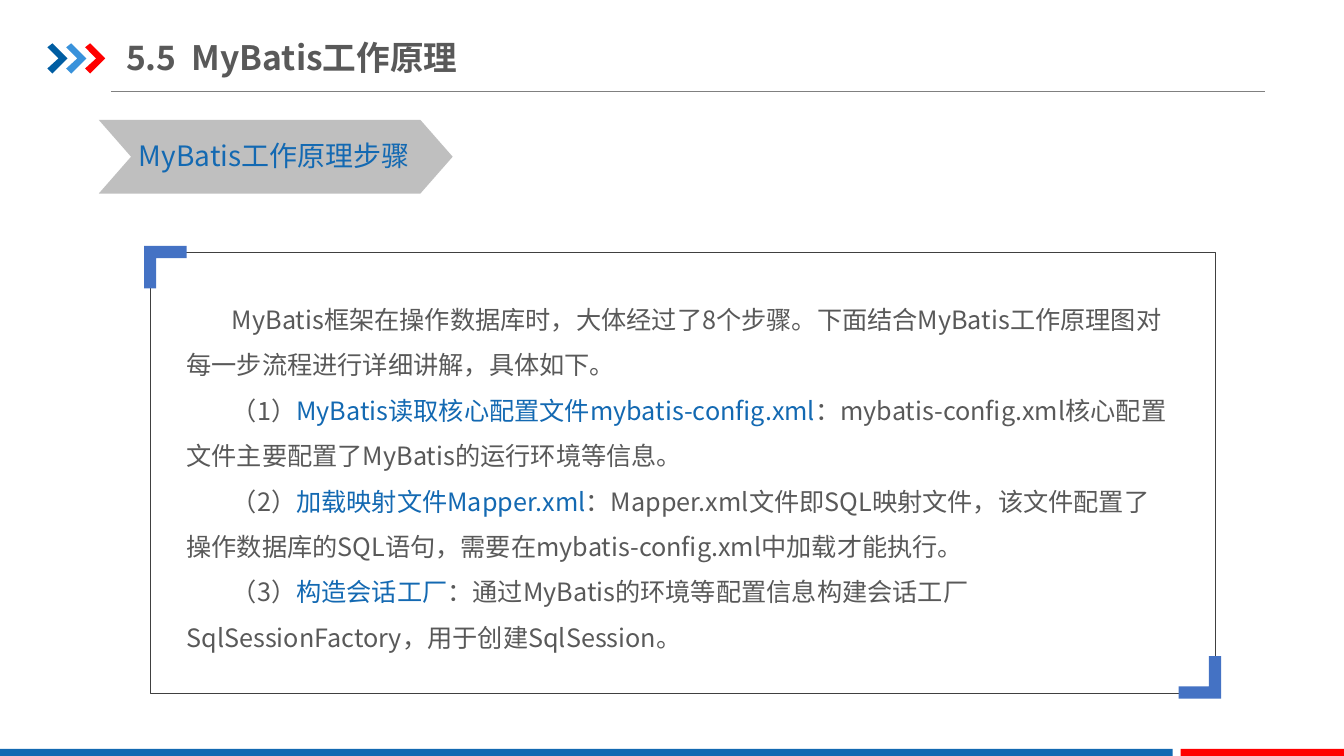
from lxml import etree
from pptx import Presentation
from pptx.dml.color import RGBColor
from pptx.enum.shapes import MSO_CONNECTOR, MSO_SHAPE
from pptx.enum.text import MSO_ANCHOR, MSO_AUTO_SIZE, PP_ALIGN
from pptx.oxml.ns import qn
from pptx.util import Inches, Pt

STRAIGHT = MSO_CONNECTOR.STRAIGHT
RECTANGLE = MSO_SHAPE.RECTANGLE
CHEVRON = MSO_SHAPE.CHEVRON
TOP = MSO_ANCHOR.TOP
MIDDLE = MSO_ANCHOR.MIDDLE
NO_AUTOFIT = MSO_AUTO_SIZE.NONE
LEFT = PP_ALIGN.LEFT

FONT = "Noto Sans CJK SC"
COLORS = {
    "blue": "1369B2",
    "red": "FF0000",
    "dark_blue": "005DA2",
    "light_blue": "3992DB",
    "corner": "4472C4",
    "banner": "BFBFBF",
    "text": "595959",
    "frame": "404040",
    "rule": "808080",
}

STEPS = [
    [("MyBatis框架在操作数据库时，大体经过了8个步骤。"
      "下面结合MyBatis工作原理图对每一步流程进行详细讲解，具体如下。", "text")],
    [("（1）", "text"),
     ("MyBatis读取核心配置文件mybatis-config.xml", "blue"),
     ("：mybatis-config.xml核心配置文件主要配置了MyBatis的运行环境等信息。", "text")],
    [("（2）", "text"),
     ("加载映射文件Mapper.xml", "blue"),
     ("：Mapper.xml文件即SQL映射文件，该文件配置了操作数据库的SQL语句，"
      "需要在mybatis-config.xml中加载才能执行。", "text")],
    [("（3）", "text"),
     ("构造会话工厂", "blue"),
     ("：通过MyBatis的环境等配置信息构建会话工厂SqlSessionFactory，"
      "用于创建SqlSession。", "text")],
]


def rgb(color):
    return RGBColor.from_string(COLORS[color])


def add_text(paragraph, text, size=18, color="text", bold=False):
    run = paragraph.add_run()
    run.text = text
    run.font.size = Pt(size)
    run.font.bold = bold
    run.font.name = FONT
    run.font.color.rgb = rgb(color)
    east_asian = etree.SubElement(run._r.get_or_add_rPr(), qn("a:ea"))
    east_asian.set("typeface", FONT)


class SlideBuilder:
    def __init__(self, presentation):
        self.slide = presentation.slides.add_slide(presentation.slide_layouts[1])
        self.shapes = self.slide.shapes

    def prepare(self, shape, box, margins, anchor):
        shape.left, shape.top, shape.width, shape.height = map(Inches, box)
        frame = shape.text_frame
        frame.word_wrap = True
        frame.auto_size = NO_AUTOFIT
        frame.vertical_anchor = anchor
        frame.margin_left = frame.margin_right = Inches(margins[0])
        frame.margin_top = frame.margin_bottom = Inches(margins[1])
        return frame

    def title(self, text, box):
        frame = self.prepare(self.shapes.title, box, (0, 0.07), MIDDLE)
        frame.paragraphs[0].alignment = LEFT
        add_text(frame.paragraphs[0], text, size=24, bold=True)

    def body(self, paragraphs, box):
        frame = self.prepare(self.slide.placeholders[1], box, (0.1, 0.05), TOP)
        for index, runs in enumerate(paragraphs):
            paragraph = frame.add_paragraph() if index else frame.paragraphs[0]
            paragraph.alignment = LEFT
            paragraph.line_spacing = 1.5
            paragraph.space_before = Pt(0)
            properties = paragraph._p.get_or_add_pPr()
            properties.set("marL", "0")
            properties.set("indent", str(Inches(0.45)))
            etree.SubElement(properties, qn("a:buNone"))
            for text, color in runs:
                add_text(paragraph, text, color=color)

    def label(self, text, box):
        shape = self.shapes.add_textbox(0, 0, 0, 0)
        frame = self.prepare(shape, box, (0.1, 0.05), TOP)
        add_text(frame.paragraphs[0], text, size=20, color="blue")

    def paint(self, shape, fill=None, line=None):
        shape.shadow.inherit = False
        if fill:
            shape.fill.solid()
            shape.fill.fore_color.rgb = rgb(fill)
        else:
            shape.fill.background()
        if line:
            shape.line.color.rgb = rgb(line)
            shape.line.width = Pt(0.25)
        else:
            shape.line.fill.background()

    def preset(self, kind, box, **colors):
        shape = self.shapes.add_shape(kind, *map(Inches, box))
        self.paint(shape, **colors)
        return shape

    def outline(self, origin, offsets, fill, direction=1):
        points = [tuple(Inches(start + direction * offset)
                        for start, offset in zip(origin, pair)) for pair in offsets]
        builder = self.shapes.build_freeform(*points[0], scale=1.0)
        builder.add_line_segments(points[1:], close=True)
        self.paint(builder.convert_to_shape(), fill=fill)

    def rule(self, left, right, top):
        connector = self.shapes.add_connector(
            STRAIGHT, Inches(left), Inches(top), Inches(right), Inches(top))
        connector.line.color.rgb = rgb("rule")
        connector.line.width = Pt(0.5)
        etree.SubElement(connector._element.spPr, qn("a:effectLst"))


def main():
    presentation = Presentation()
    presentation.slide_width = Inches(13.33)
    presentation.slide_height = Inches(7.5)
    builder = SlideBuilder(presentation)

    builder.rule(1.1, 12.55, 0.91)
    arrow = [(0, 0.04), (0.05, 0), (0.2, 0.15), (0.05, 0.3), (0, 0.25), (0.11, 0.15)]
    for index, color in enumerate(("dark_blue", "light_blue", "red")):
        builder.outline((0.47 + 0.187 * index, 0.43), arrow, color)
    builder.title("5.5  MyBatis工作原理", (1.25, 0.29, 4.41, 0.55))

    banner = builder.preset(CHEVRON, (0.98, 1.19, 3.51, 0.73), fill="banner")
    banner.adjustments[0] = 0.438
    builder.label("MyBatis工作原理步骤", (1.28, 1.33, 3.06, 0.44))

    builder.body(STEPS, (1.75, 2.82, 9.94, 3.69))
    builder.preset(RECTANGLE, (1.49, 2.5, 10.56, 4.38), line="frame")
    corner = [(0, 0), (0.42, 0), (0.42, 0.12), (0.12, 0.12), (0.12, 0.42), (0, 0.42)]
    builder.outline((1.43, 2.44), corner, "corner")
    builder.outline((12.11, 6.93), corner, "corner", direction=-1)

    for left, width, color in ((0, 11.63, "blue"), (11.71, 1.62, "red")):
        builder.preset(RECTANGLE, (left, 7.43, width, 0.07), fill=color)

    presentation.save("out.pptx")


if __name__ == "__main__":
    main()
